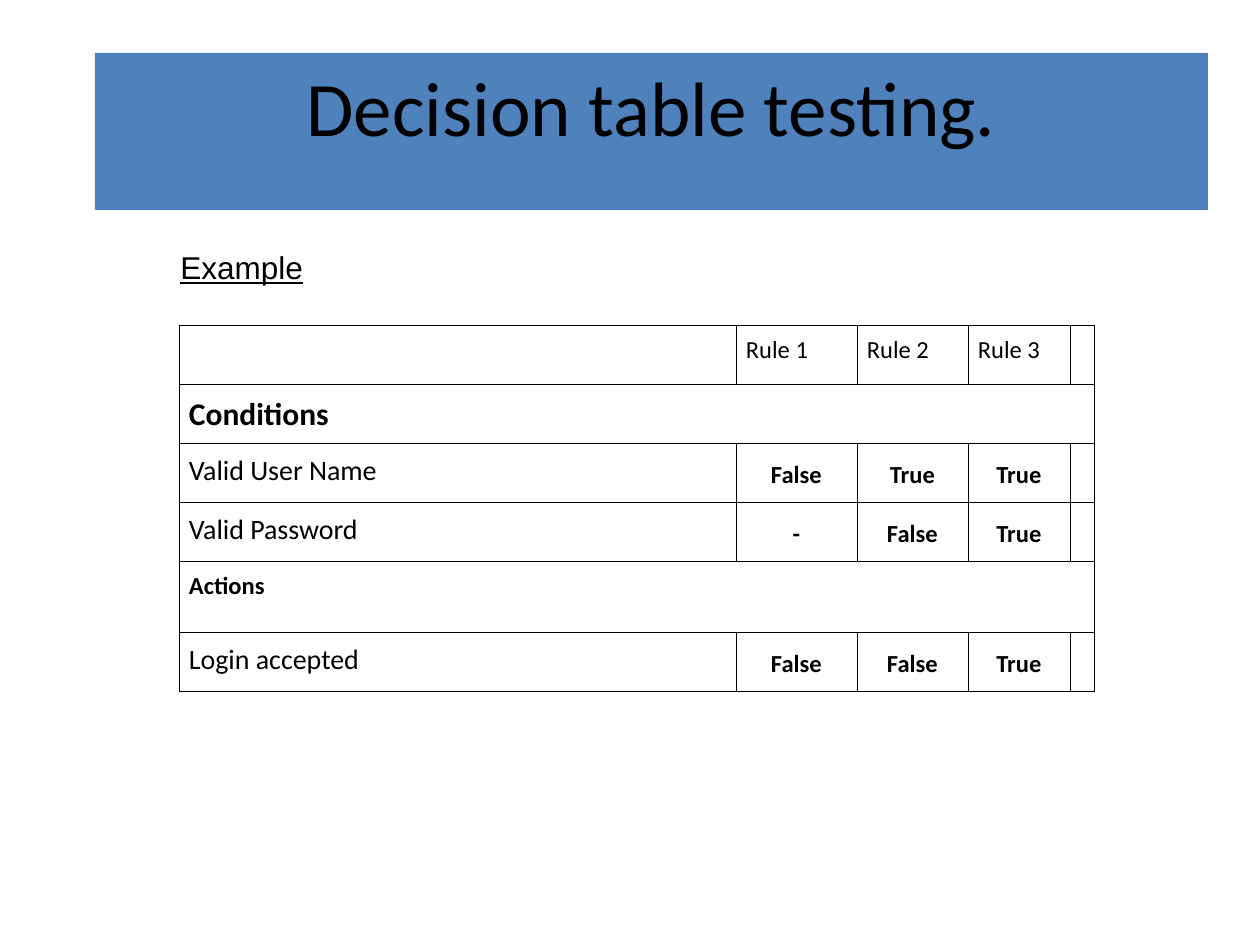
from lxml import etree
from pptx import Presentation
from pptx.dml.color import RGBColor
from pptx.enum.shapes import MSO_SHAPE
from pptx.enum.text import MSO_ANCHOR, PP_ALIGN
from pptx.oxml.ns import qn
from pptx.util import Pt

RECTANGLE = MSO_SHAPE.RECTANGLE
TOP, MIDDLE = MSO_ANCHOR.TOP, MSO_ANCHOR.MIDDLE
LEFT, CENTER = PP_ALIGN.LEFT, PP_ALIGN.CENTER
SCALE = 914400 / 126
BLACK, BLUE = "000000", "4F81BD"


def px(length):
    return round(length * SCALE)


def write(frame, text, font_name, size, align=LEFT, bold=False):
    paragraph = frame.paragraphs[0]
    paragraph.text = text
    paragraph.alignment = align
    font = paragraph.font
    font.name, font.size, font.bold = font_name, Pt(size), bold
    font.color.rgb = RGBColor.from_string(BLACK)
    return paragraph


prs = Presentation()
prs.slide_width, prs.slide_height = px(1260), px(945)
slide = prs.slides.add_slide(prs.slide_layouts[6])

rules = [
    ["", "Rule 1", "Rule 2", "Rule 3", ""],
    ["Conditions", "", "", "", ""],
    ["Valid User Name", "False", "True", "True", ""],
    ["Valid Password", "-", "False", "True", ""],
    ["Actions", "", "", "", ""],
    ["Login accepted", "False", "False", "True", ""],
]
column_widths = [557, 121, 111, 102, 24]
row_heights = [59, 59, 59, 59, 71, 59]
section_sizes = {1: 18, 4: 14}

decision_table = slide.shapes.add_table(
    len(row_heights), len(column_widths), px(179), px(325),
    px(sum(column_widths)), px(sum(row_heights))).table
decision_table.first_row = False
decision_table.horz_banding = False
for column, width in zip(decision_table.columns, column_widths):
    column.width = px(width)
for row, height in zip(decision_table.rows, row_heights):
    row.height = px(height)

for r, values in enumerate(rules):
    for c, value in enumerate(values):
        cell = decision_table.cell(r, c)
        cell.margin_left = cell.margin_right = px(10)
        cell.margin_top = cell.margin_bottom = px(6)
        properties = cell._tc.get_or_add_tcPr()
        for side in ("a:lnL", "a:lnR", "a:lnT", "a:lnB"):
            border = etree.SubElement(properties, qn(side), w=str(Pt(0.45)))
            border_fill = etree.SubElement(border, qn("a:solidFill"))
            etree.SubElement(border_fill, qn("a:srgbClr"), val=BLACK)
        cell.fill.background()
        if not value:
            continue
        is_section = r in section_sizes
        is_outcome = r > 0 and c > 0
        size = section_sizes[r] if is_section else 16 if c == 0 else 14
        cell.vertical_anchor = MIDDLE if is_outcome else TOP
        paragraph = write(cell.text_frame, value, "Calibri", size,
                          CENTER if is_outcome else LEFT, is_section or is_outcome)
        paragraph.line_spacing = 1.15

for r in section_sizes:
    decision_table.cell(r, 0).merge(decision_table.cell(r, len(column_widths) - 1))

example = slide.shapes.add_textbox(px(168), px(242), px(588), px(50)).text_frame
example.word_wrap = True
write(example, "Example", "Arial", 18).font.underline = True

title = slide.shapes.add_shape(RECTANGLE, px(95), px(53), px(1113), px(157))
title.shadow.inherit = False
title.fill.solid()
title.fill.fore_color.rgb = RGBColor.from_string(BLUE)
title.line.fill.background()
title.text_frame.word_wrap = True
title.text_frame.vertical_anchor = TOP
write(title.text_frame, "Decision table testing.", "Calibri", 44, CENTER)

prs.save("out.pptx")
